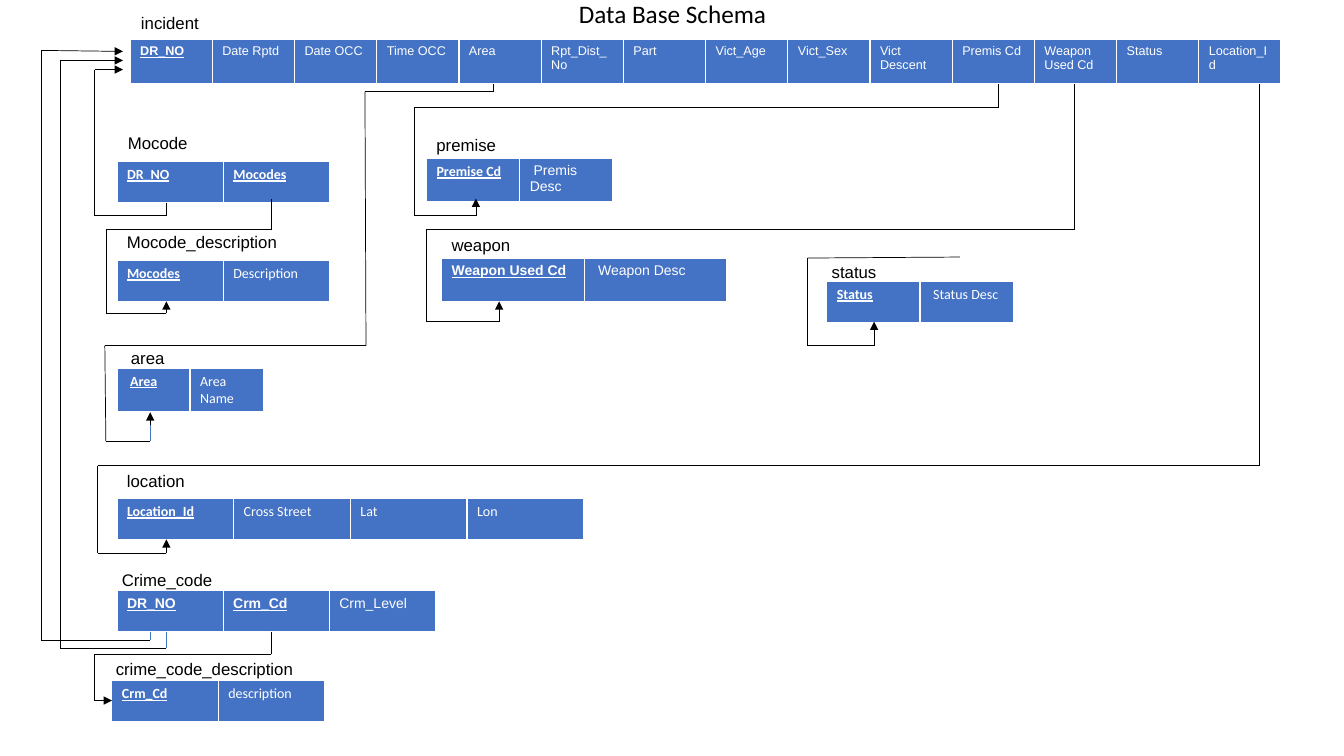
from pptx import Presentation
from pptx.dml.color import RGBColor
from pptx.enum.shapes import MSO_CONNECTOR
from pptx.enum.text import MSO_ANCHOR, MSO_AUTO_SIZE, PP_ALIGN
from pptx.oxml.ns import qn
from pptx.util import Emu, Pt
from lxml.etree import SubElement

BLACK = RGBColor(0x00, 0x00, 0x00)
WHITE = RGBColor(0xFF, 0xFF, 0xFF)
BLUE = RGBColor(0x44, 0x72, 0xC4)
PX = 9144  # 100 px to the inch


def px(*lengths):
    return [Emu(n * PX) for n in lengths]


def add_line(start, end, color, arrow):
    line = s.shapes.add_connector(MSO_CONNECTOR.STRAIGHT, *px(*start, *end))
    line.line.color.rgb = color
    line.line.width = Pt(0.5)
    if arrow:
        SubElement(line.line._get_or_add_ln(), qn("a:tailEnd"), type="triangle")
    SubElement(line._element.spPr, qn("a:effectLst"))


prs = Presentation()
prs.slide_width, prs.slide_height = px(1333, 750)
s = prs.slides.add_slide(prs.slide_layouts[5])

# Title
title = s.shapes.title
title.left, title.top, title.width, title.height = px(560, -7, 214, 40)
tf = title.text_frame
tf.text = "Data Base Schema"
tf.word_wrap = False
tf.auto_size = MSO_AUTO_SIZE.NONE
tf.vertical_anchor = MSO_ANCHOR.TOP
p = tf.paragraphs[0]
p.alignment = PP_ALIGN.CENTER
p.font.size, p.font.name, p.font.color.rgb = Pt(18), "Calibri", BLACK

# Entities: name, label box, table box, text size, key font, field font, keys, fields
entities = [
    ("incident", (130, 8, 78, 30), (129, 39, 1142, 44), 9, "Arial", "Arial",
     ["DR_NO"],
     ["Date Rptd", "Date OCC", "Time OCC", "Area", "Rpt_Dist_No", "Part",
      "Vict_Age", "Vict_Sex", "Vict Descent", "Premis Cd", "Weapon Used Cd",
      "Status", "Location_Id"]),
    ("Mocode", (117, 127, 80, 30), (116, 160, 211, 41), 10, "Calibri", "Calibri",
     ["DR_NO", "Mocodes"], []),
    ("Mocode_description", (116, 225, 170, 30), (116, 258, 211, 41), 10,
     "Calibri", "Calibri", ["Mocodes"], ["Description"]),
    ("area", (120, 340, 54, 30), (116, 365, 145, 43), 10, "Calibri", "Calibri",
     [" Area"], ["Area Name"]),
    ("location", (116, 462, 78, 30), (116, 494, 463, 41), 10, "Calibri", "Calibri",
     ["Location_Id"], ["Cross Street", "Lat", "Lon"]),
    ("Crime_code", (111, 560, 110, 30), (116, 586, 316, 41), 10, "Arial", "Arial",
     ["DR_NO", "Crm_Cd"], ["Crm_Level"]),
    ("crime_code_description", (105, 649, 240, 50), (111, 675, 211, 41), 10,
     "Calibri", "Calibri", ["Crm_Cd"], ["description"]),
    ("premise", (423, 129, 80, 30), (423, 157, 185, 43), 10, "Calibri", "Arial",
     ["Premise Cd"], [" Premis Desc"]),
    ("weapon", (438, 228, 79, 30), (438, 256, 283, 43), 10, "Arial", "Arial",
     ["Weapon Used Cd"], [" Weapon Desc"]),
    ("status", (815, 255, 65, 30), (820, 279, 185, 41), 10, "Calibri", "Calibri",
     ["Status"], [" Status Desc"]),
]
for name, label_box, table_box, size, key_font, field_font, keys, fields in entities:
    # Label
    tf = s.shapes.add_textbox(*px(*label_box)).text_frame
    tf.text = name
    tf.word_wrap = label_box[2] > 200
    font = tf.paragraphs[0].font
    font.size, font.name, font.color.rgb = Pt(12), "Arial", BLACK

    # One row of columns, keys first
    columns = keys + fields
    table = s.shapes.add_table(1, len(columns), *px(*table_box)).table
    for i, text in enumerate(columns):
        cell = table.cell(0, i)
        cell.fill.solid()
        cell.fill.fore_color.rgb = BLUE
        p = cell.text_frame.paragraphs[0]
        is_key = i < len(keys)
        p.font.size, p.font.color.rgb = Pt(size), WHITE
        p.font.name = key_font if is_key else field_font
        p.font.bold = is_key
        word = text.lstrip()
        if word != text:
            p.add_run().text = " "
        r = p.add_run()
        r.text = word
        for run in p.runs:
            run.font.size, run.font.color.rgb = Pt(size), WHITE
            run.font.name, run.font.bold = p.font.name, is_key
        r.font.underline = is_key

# Relations: corner points from field to key, index of the blue segment, arrow
relations = [
    ([(165, 201), (165, 214), (94, 214), (94, 69), (122, 69)], None, True),
    ([(165, 627), (165, 643), (60, 643), (60, 60), (122, 60)], 0, True),
    ([(149, 627), (149, 635), (41, 635), (41, 50), (122, 51)], 0, True),
    ([(269, 627), (269, 649), (94, 649), (94, 695), (111, 695)], None, True),
    ([(269, 197), (269, 228), (105, 228), (105, 311), (165, 311), (165, 299)],
     None, True),
    ([(489, 83), (489, 91), (362, 91), (363, 343), (104, 343), (105, 438),
      (149, 438), (149, 422), (149, 409)], 6, True),
    ([(990, 83), (990, 107), (411, 107), (411, 214), (472, 214), (472, 197)],
     None, True),
    ([(1066, 83), (1066, 228), (423, 228), (423, 319), (495, 319), (495, 299)],
     None, True),
    ([(952, 255), (801, 256), (801, 343), (867, 343), (867, 319)], None, True),
    ([(1249, 83), (1249, 462), (97, 462), (97, 549), (165, 549), (165, 535)],
     None, True),
]
for points, blue_segment, arrow in relations:
    last = len(points) - 2
    for i, (start, end) in enumerate(zip(points, points[1:])):
        color = BLUE if i == blue_segment else BLACK
        add_line(start, end, color, arrow and i == last)

prs.save("out.pptx")
